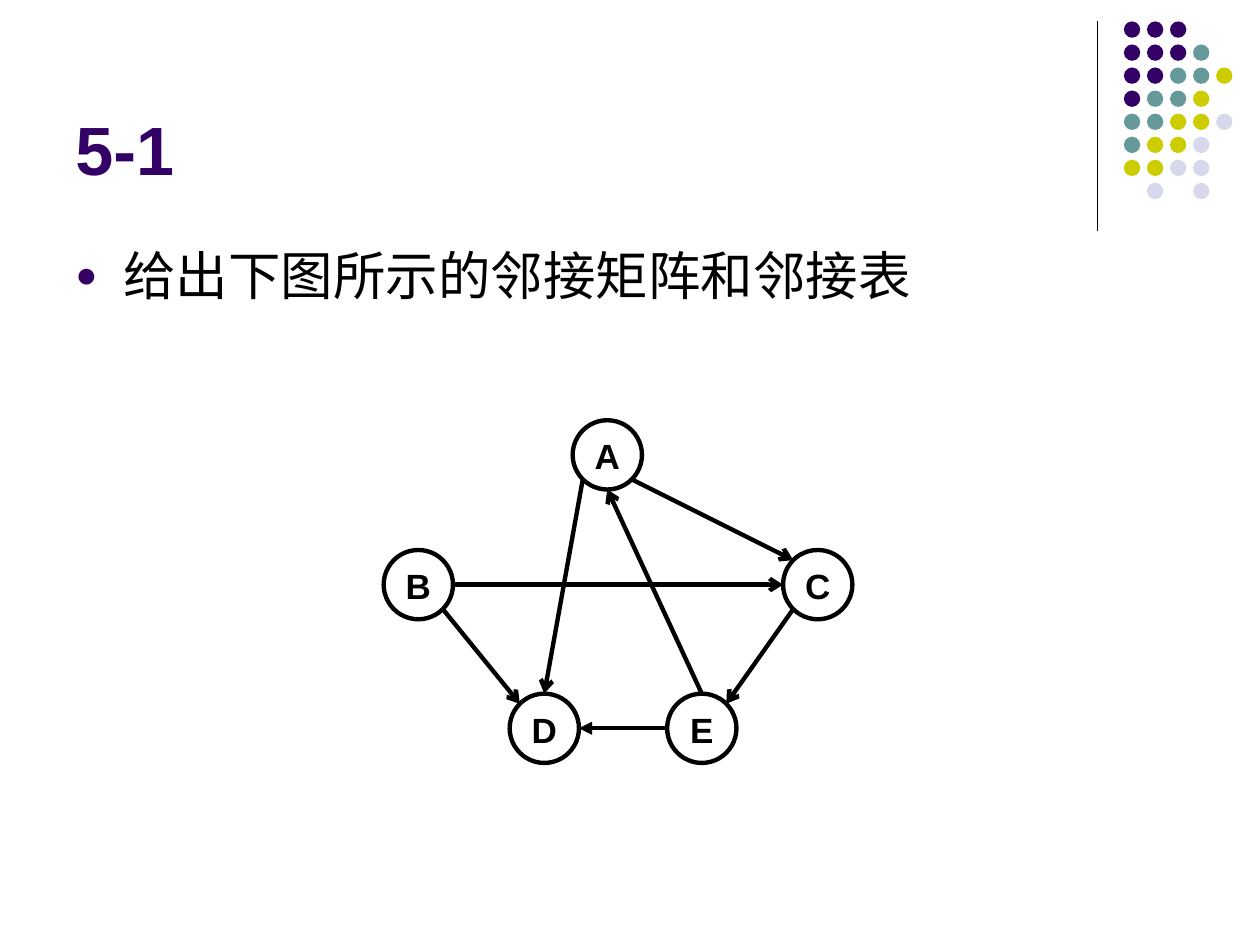
from dataclasses import dataclass
from math import cos, radians, sin

from lxml.etree import SubElement
from pptx import Presentation
from pptx.dml.color import RGBColor
from pptx.enum.shapes import MSO_CONNECTOR, MSO_SHAPE
from pptx.enum.text import MSO_ANCHOR, PP_ALIGN
from pptx.oxml.ns import qn
from pptx.slide import Slide
from pptx.text.text import TextFrame
from pptx.util import Inches, Pt

PURPLE = RGBColor(0x33, 0x00, 0x66)
TEAL = RGBColor(0x66, 0x99, 0x99)
OLIVE = RGBColor(0xCC, 0xCC, 0x00)
LAVENDER = RGBColor(0xD8, 0xD8, 0xEC)
BLACK = RGBColor(0x00, 0x00, 0x00)

DOT_COLORS = {"P": PURPLE, "T": TEAL, "O": OLIVE, "L": LAVENDER}
DOT_ROWS = ["PPP", "PPPT", "PPTTO", "PTTO", "TTOOL", "TOOL", "OOLL", " L L"]
DOT_LEFT, DOT_TOP, DOT_SIZE, DOT_STEP = 8.92, 0.17, 0.13, 0.183
RADIUS = 0.275
EAST, SOUTHEAST, SOUTH, SOUTHWEST = 0, 45, 90, 135
WEST, NORTHWEST, NORTH, NORTHEAST = 180, 225, 270, 315


@dataclass(frozen=True)
class Node:
    name: str
    x: float
    y: float

    def site(self, angle: int) -> tuple[float, float]:
        """Return the point on the rim at a clockwise angle from east."""
        turn = radians(angle)
        return self.x + RADIUS * cos(turn), self.y + RADIUS * sin(turn)


@dataclass(frozen=True)
class Edge:
    source: str
    source_side: int
    target: str
    target_side: int
    head: str = "arrow"


NODES = {
    node.name: node
    for node in (
        Node("E", 5.57, 5.78),
        Node("D", 4.32, 5.78),
        Node("C", 6.49, 4.64),
        Node("B", 3.32, 4.64),
        Node("A", 4.82, 3.61),
    )
}
EDGES = [
    Edge("E", WEST, "D", EAST, "triangle"),
    Edge("B", EAST, "C", WEST),
    Edge("A", SOUTHWEST, "D", NORTH),
    Edge("E", NORTH, "A", SOUTH),
    Edge("A", SOUTHEAST, "C", NORTHWEST),
    Edge("C", SOUTHWEST, "E", NORTHEAST),
    Edge("B", SOUTHEAST, "D", NORTHWEST),
]


def add_text(page: Slide, left: float, top: float, width: float, height: float,
             text: str, size: float, color: RGBColor, bold: bool = False) -> TextFrame:
    """Add a wrapped text box holding one run."""
    frame = page.shapes.add_textbox(
        Inches(left), Inches(top), Inches(width), Inches(height)).text_frame
    frame.word_wrap = True
    span = frame.paragraphs[0].add_run()
    span.text = text
    span.font.name = "Arial"
    span.font.size = Pt(size)
    span.font.bold = bold
    span.font.color.rgb = color
    return frame


def add_line(page: Slide, start: tuple[float, float], end: tuple[float, float],
             width: float, head: str = "none") -> None:
    """Draw a black line with an optional head at its end."""
    line = page.shapes.add_connector(
        MSO_CONNECTOR.STRAIGHT, *(Inches(value) for value in (*start, *end)))
    line.line.color.rgb = BLACK
    line.line.width = Pt(width)
    properties = line._element.spPr
    SubElement(properties.find(qn("a:ln")), qn("a:tailEnd"), type=head)
    SubElement(properties, qn("a:effectLst"))


def add_dot(page: Slide, row: int, column: int, color: RGBColor) -> None:
    """Draw one dot of the corner grid."""
    dot = page.shapes.add_shape(
        MSO_SHAPE.OVAL, Inches(DOT_LEFT + column * DOT_STEP),
        Inches(DOT_TOP + row * DOT_STEP), Inches(DOT_SIZE), Inches(DOT_SIZE))
    dot.shadow.inherit = False
    dot.fill.solid()
    dot.fill.fore_color.rgb = color
    dot.line.fill.background()


def add_node(page: Slide, node: Node) -> None:
    """Draw a graph node as a letter inside a ring."""
    frame = add_text(page, node.x - 0.355, node.y - 0.21, 0.71, 0.44,
                     node.name, 20, BLACK, bold=True)
    frame.paragraphs[0].alignment = PP_ALIGN.CENTER
    ring = page.shapes.add_shape(
        MSO_SHAPE.OVAL, Inches(node.x - RADIUS), Inches(node.y - RADIUS),
        Inches(2 * RADIUS), Inches(2 * RADIUS))
    ring.shadow.inherit = False
    ring.fill.background()
    ring.line.color.rgb = BLACK
    ring.line.width = Pt(2.5)


def add_bullet(frame: TextFrame) -> None:
    """Give the first paragraph a purple hanging bullet."""
    properties = frame.paragraphs[0]._p.get_or_add_pPr()
    properties.set("marL", str(Inches(0.38)))
    properties.set("indent", str(Inches(-0.38)))
    color = SubElement(properties, qn("a:buClr"))
    SubElement(color, qn("a:srgbClr"), val=str(PURPLE))
    SubElement(properties, qn("a:buSzPct"), val="70000")
    SubElement(properties, qn("a:buFont"), typeface="Arial")
    SubElement(properties, qn("a:buChar"), char="●")


def main() -> None:
    """Build the slide and save the deck."""
    deck = Presentation()
    deck.slide_width, deck.slide_height = Inches(10), Inches(7.5)
    page = deck.slides.add_slide(deck.slide_layouts[6])

    add_line(page, (8.71, 0.17), (8.71, 1.83), 0.75)
    for row, codes in enumerate(DOT_ROWS):
        for column, code in enumerate(codes):
            if code in DOT_COLORS:
                add_dot(page, row, column, DOT_COLORS[code])

    title = add_text(page, 0.5, 0.13, 8.25, 1.42, "5-1", 39, PURPLE, bold=True)
    title.vertical_anchor = MSO_ANCHOR.BOTTOM
    add_bullet(add_text(page, 0.5, 1.88, 9, 4.82,
                        "给出下图所示的邻接矩阵和邻接表", 30, BLACK))

    for node in NODES.values():
        add_node(page, node)
    for edge in EDGES:
        add_line(page, NODES[edge.source].site(edge.source_side),
                 NODES[edge.target].site(edge.target_side), 2.5, edge.head)

    deck.save("out.pptx")


if __name__ == "__main__":
    main()
